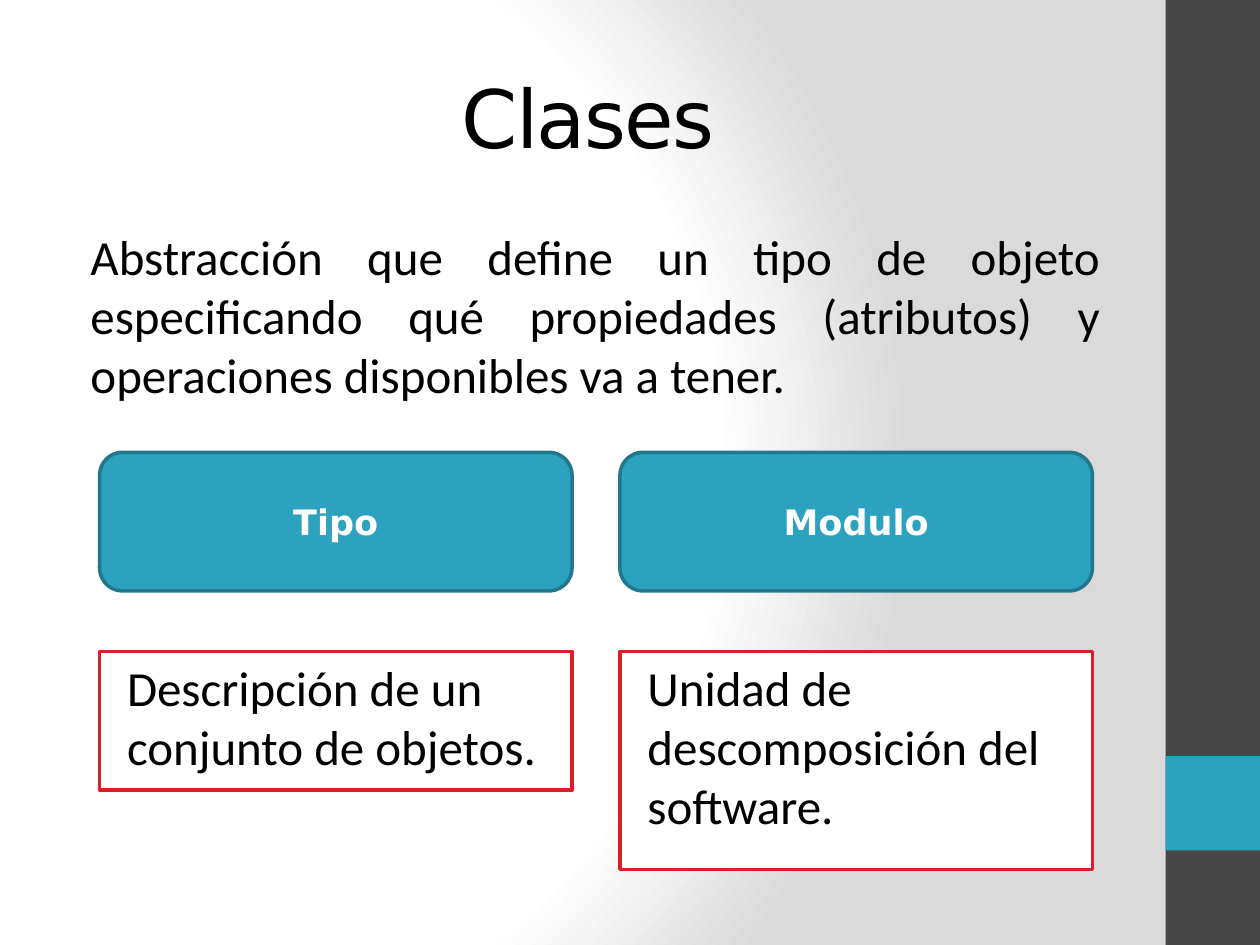
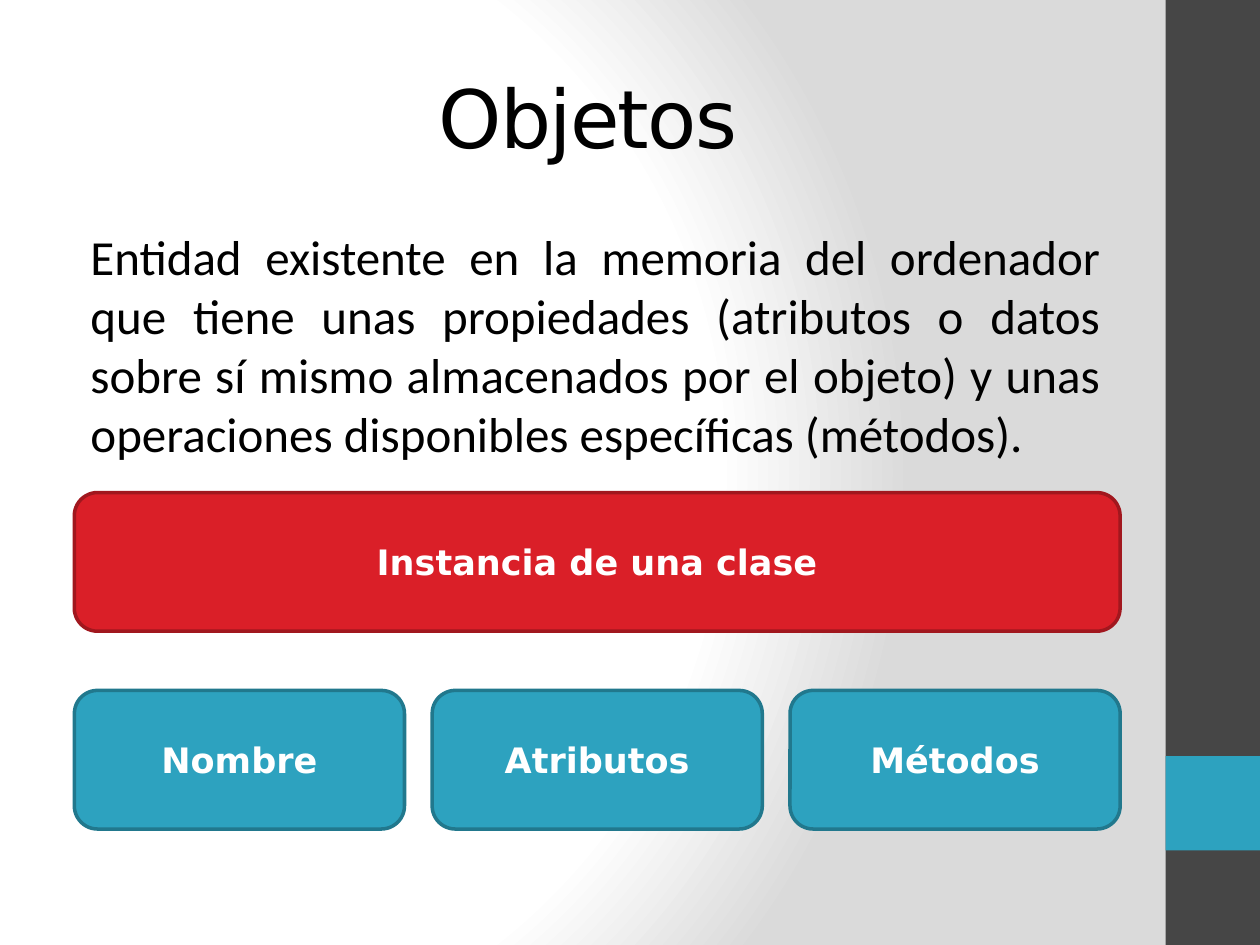
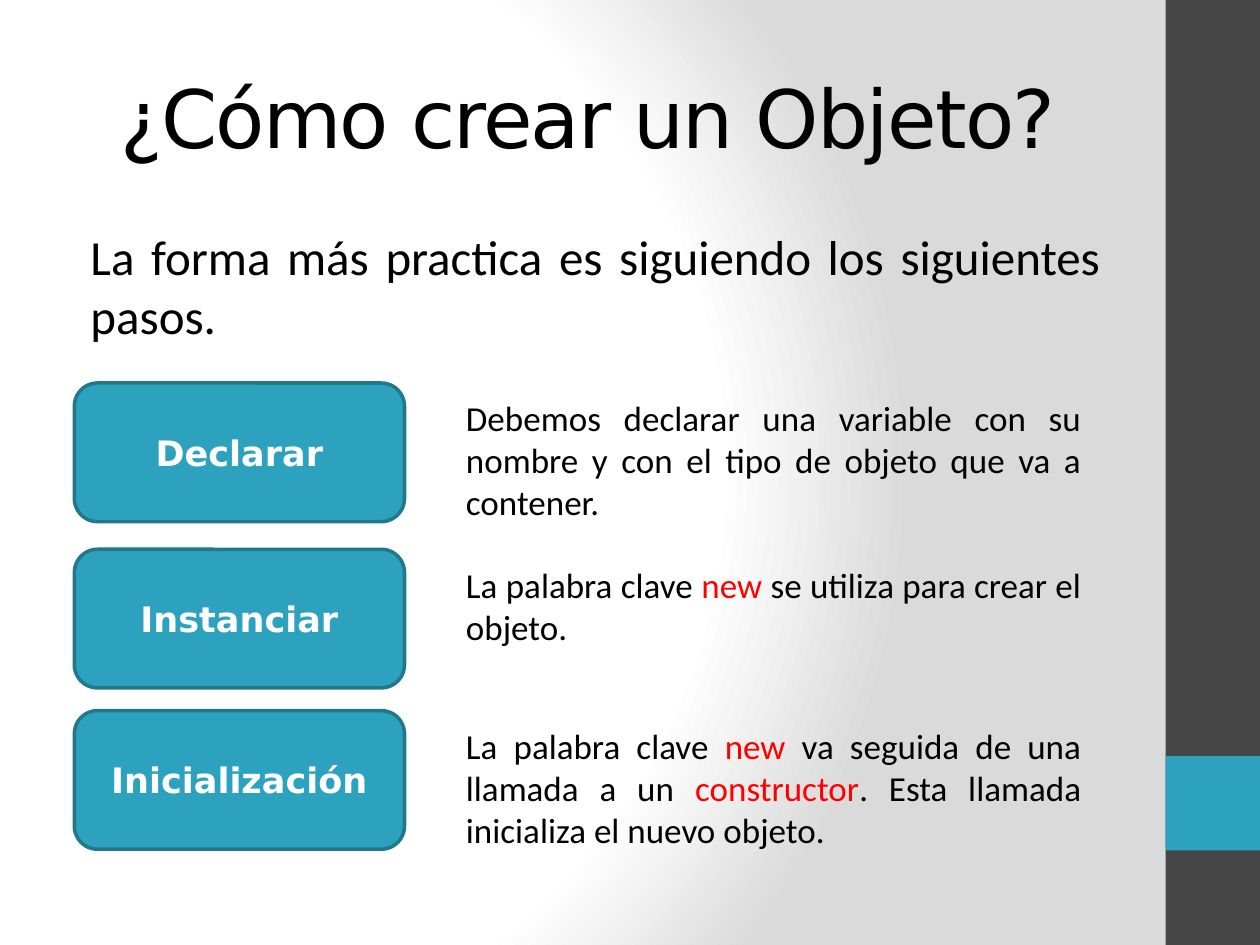
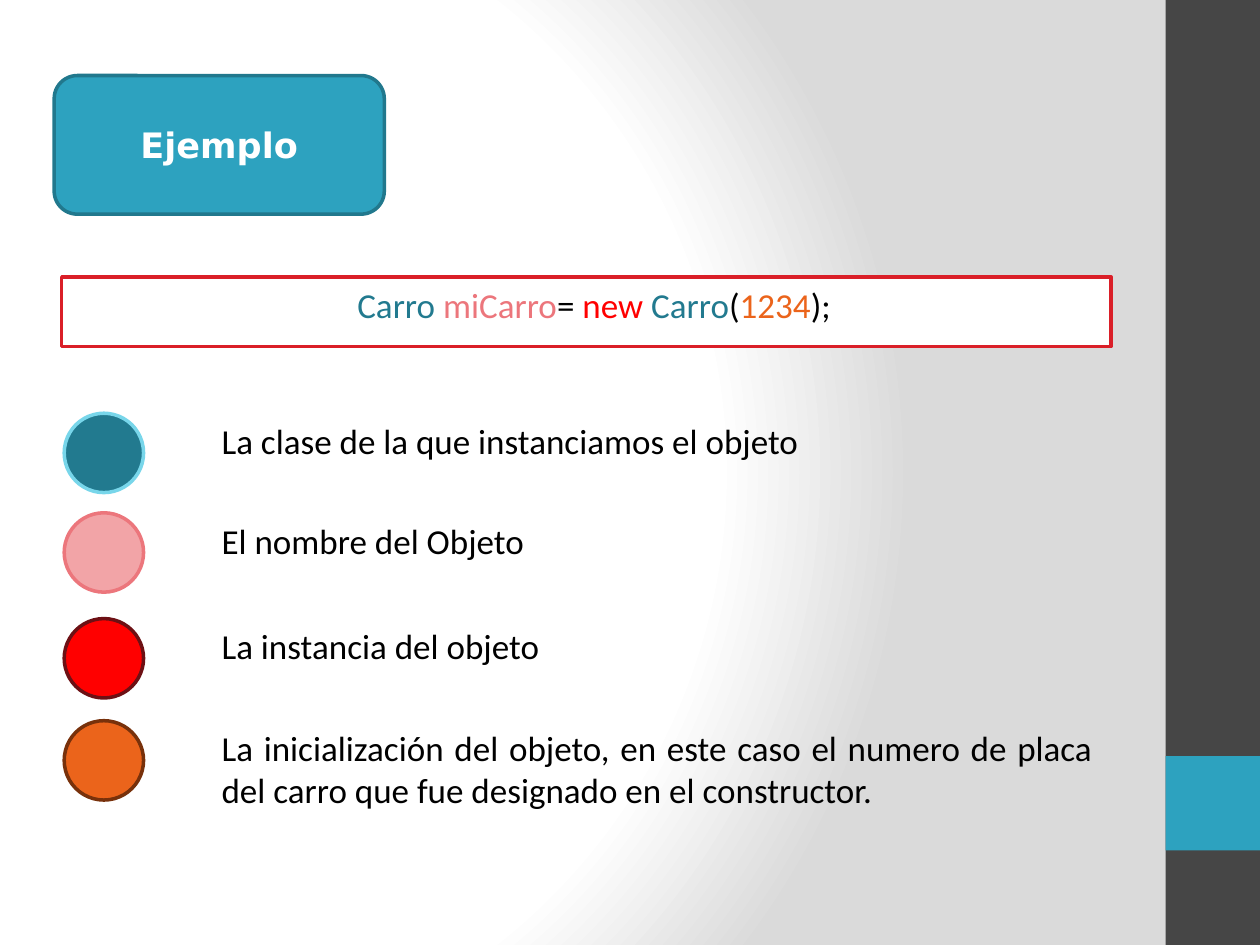
from pptx import Presentation
from pptx import util as u
from pptx.dml.color import RGBColor
from pptx.enum import shapes as s, text as t
from pptx.oxml import parse_xml
from pptx.oxml.ns import nsdecls

Inches = u.Inches
HEADING_FONT, BODY_FONT = "DejaVu Sans", "Calibri"
COLOURS = {
    "black": "000000", "white": "FFFFFF", "shade": "DADADA", "band": "464646",
    "teal": "2DA2BF", "teal edge": "21788D", "dark teal": "227A8F", "light teal": "78D6EA",
    "crimson": "DA1F28", "crimson edge": "A1171E", "rose": "EC767C", "light rose": "F2A4A7",
    "red": "FF0000", "maroon": "6D1014", "orange": "EB641B", "brown": "78310B",
}

# Content: a text is a string or a list of (words, colour)
INTROS = [
    ("Clases", "Abstracción que define un tipo de objeto especificando qué propiedades "
               "(atributos) y operaciones disponibles va a tener."),
    ("Objetos", "Entidad existente en la memoria del ordenador que tiene unas propiedades "
                "(atributos o datos sobre sí mismo almacenados por el objeto) y unas "
                "operaciones disponibles específicas (métodos)."),
    ("¿Cómo crear un Objeto?", "La forma más practica es siguiendo los siguientes pasos."),
]
CLASS_ROLES = [  # heading, description, height of the description
    ("Tipo", "Descripción de un conjunto de objetos.", 1.1),
    ("Modulo", "Unidad de descomposición del software.", 1.73),
]
OBJECT_PARTS = ["Nombre", "Atributos", "Métodos"]
STEPS = [  # top, heading, explanation
    (3.04, "Declarar", "Debemos declarar una variable con su nombre y con el tipo de objeto "
                       "que va a contener."),
    (4.36, "Instanciar", [("La palabra clave ", "black"), ("new ", "red"),
                          ("se utiliza para crear el objeto.", "black")]),
    (5.64, "Inicialización", [("La palabra clave ", "black"), ("new", "red"),
                              (" va seguida de una llamada a un ", "black"),
                              ("constructor", "red"),
                              (". Esta llamada inicializa el nuevo objeto.", "black")]),
]
CODE_LINE = [("Carro ", "dark teal"), ("miCarro", "rose"), ("= ", "black"), ("new ", "red"),
             ("Carro", "dark teal"), ("(", "black"), ("1234", "orange"), (");", "black")]
LEGEND = [  # top, fill, edge, meaning
    (3.28, "dark teal", "light teal", "La clase de la que instanciamos el objeto"),
    (4.07, "light rose", "rose", "El nombre del Objeto"),
    (4.91, "red", "maroon", "La instancia del objeto"),
    (5.72, "orange", "brown", "La inicialización del objeto, en este caso el numero de placa "
                              "del carro que fue designado en el constructor."),
]

# Shared sizes
LEFT, CONTENT_WIDTH = 0.5, 8.33
BUTTON_WIDTH, BUTTON_HEIGHT = 2.62, 1.1
CIRCLE = 0.63


def colour(name):
    return RGBColor.from_string(COLOURS[name])


def add_shape(slide, kind, box, fill, edge=None):
    shape = slide.shapes.add_shape(kind, *map(Inches, box))
    shape.shadow.inherit = False
    shape.fill.solid()
    shape.fill.fore_color.rgb = colour(fill)
    if edge:
        shape.line.color.rgb = colour(edge)
        shape.line.width = u.Pt(2)
    else:
        shape.line.fill.background()
    return shape


def set_font(font, name, size, tint, bold=False):
    font.name, font.size, font.bold = name, u.Pt(size), bold
    font.color.rgb = colour(tint)


def write_body(shape, content, size, align):
    """Indented body text, anchored at the top, with optional coloured runs."""
    frame = shape.text_frame
    frame.word_wrap = True
    frame.vertical_anchor = t.MSO_ANCHOR.TOP
    paragraph = frame.paragraphs[0]
    paragraph.alignment = align
    set_font(paragraph.font, BODY_FONT, size, "black")
    properties = paragraph._p.get_or_add_pPr()
    properties.set("marL", str(Inches(0.12)))
    properties.set("indent", "0")
    properties.insert(0, parse_xml(
        f'<a:spcBef {nsdecls("a")}><a:spcPct val="20000"/></a:spcBef>'))
    for words, tint in [(content, "black")] if isinstance(content, str) else content:
        run = paragraph.add_run()
        run.text = words
        if tint != "black":
            run.font.color.rgb = colour(tint)


def add_body(slide, box, content, size=20):
    write_body(slide.shapes.add_textbox(*map(Inches, box)), content, size,
               t.PP_ALIGN.JUSTIFY)


def add_framed(slide, box, content, size, align):
    frame = add_shape(slide, s.MSO_SHAPE.RECTANGLE, box, "white", "crimson")
    write_body(frame, content, size, align)


def add_button(slide, left, top, label, width=BUTTON_WIDTH, fill="teal"):
    button = add_shape(slide, s.MSO_SHAPE.ROUNDED_RECTANGLE,
                       (left, top, width, BUTTON_HEIGHT), fill, fill + " edge")
    button.text_frame.vertical_anchor = t.MSO_ANCHOR.MIDDLE
    paragraph = button.text_frame.paragraphs[0]
    paragraph.text = label
    paragraph.alignment = t.PP_ALIGN.CENTER
    set_font(paragraph.font, HEADING_FONT, 20, "white", bold=True)


def add_intro_slide(title_text, intro):
    slide = presentation.slides.add_slide(presentation.slide_layouts[5])
    title = slide.shapes.title
    title.left, title.top, title.width, title.height = map(
        Inches, (LEFT, 0.3, CONTENT_WIDTH, 1.25))
    title.text_frame.vertical_anchor = t.MSO_ANCHOR.MIDDLE
    paragraph = title.text_frame.paragraphs[0]
    paragraph.text = title_text
    paragraph.alignment = t.PP_ALIGN.CENTER
    set_font(paragraph.font, HEADING_FONT, 46, "black")
    paragraph.runs[0]._r.get_or_add_rPr().set("spc", "-100")
    add_body(slide, (LEFT, 1.75, CONTENT_WIDTH, 0.98), intro, 28)
    return slide


def style_master(master, slide):
    """Give the master its radial background and the side bands."""
    master.background.fill.solid()
    background = master.element.cSld.bg.bgPr
    stops = "".join(
        f'<a:gs pos="{place * 1000}"><a:srgbClr val="{COLOURS[name]}"/></a:gs>'
        for place, name in ((0, "white"), (75, "white"), (100, "shade")))
    background.replace(background[0], parse_xml(
        f'<a:gradFill {nsdecls("a")} rotWithShape="1"><a:gsLst>{stops}</a:gsLst>'
        '<a:path path="circle"><a:fillToRect l="20000" t="50000" r="100000" b="50000"/>'
        '</a:path></a:gradFill>'))
    # Bands are made on a slide, then moved behind the master's placeholders
    bands = [((9.25, 0, 0.75, 7.5), "band"), ((9.25, 6, 0.75, 0.75), "teal")]
    for index, (box, fill) in enumerate(bands):
        band = add_shape(slide, s.MSO_SHAPE.RECTANGLE, box, fill).element
        band.nvSpPr.cNvPr.set("id", str(101 + index))
        master.shapes.element.insert(2 + index, band)


presentation = Presentation()
presentation.slide_width, presentation.slide_height = Inches(10), Inches(7.5)
classes, objects, creation = [add_intro_slide(*intro) for intro in INTROS]
example = presentation.slides.add_slide(presentation.slide_layouts[6])
style_master(presentation.slide_master, classes)

# Classes: two headings, each over its description
for index, (label, description, height) in enumerate(CLASS_ROLES):
    left = 0.79 + index * 4.13
    add_button(classes, left, 3.59, label, width=3.75)
    add_framed(classes, (left, 5.17, 3.75, height), description, 28, t.PP_ALIGN.LEFT)

# Objects: a wide bar over three parts
add_button(objects, 0.59, 3.91, "Instancia de una clase", width=8.3, fill="crimson")
for index, label in enumerate(OBJECT_PARTS):
    add_button(objects, 0.59 + index * 2.84, 5.48, label)

# Creation: steps with their explanations
for top, label, explanation in STEPS:
    add_button(creation, 0.59, top, label)
    add_body(creation, (3.48, top + 0.06, 5.2, 0.98), explanation)

# Example: a line of code and its colour legend
add_framed(example, (0.49, 2.2, CONTENT_WIDTH, 0.55), CODE_LINE, 20, t.PP_ALIGN.CENTER)
add_button(example, 0.43, 0.6, "Ejemplo")
for top, fill, edge, meaning in LEGEND:
    add_shape(example, s.MSO_SHAPE.OVAL, (0.51, top, CIRCLE, CIRCLE), fill, edge)
    add_body(example, (1.54, top, 7.23, CIRCLE), meaning)

presentation.save("out.pptx")
